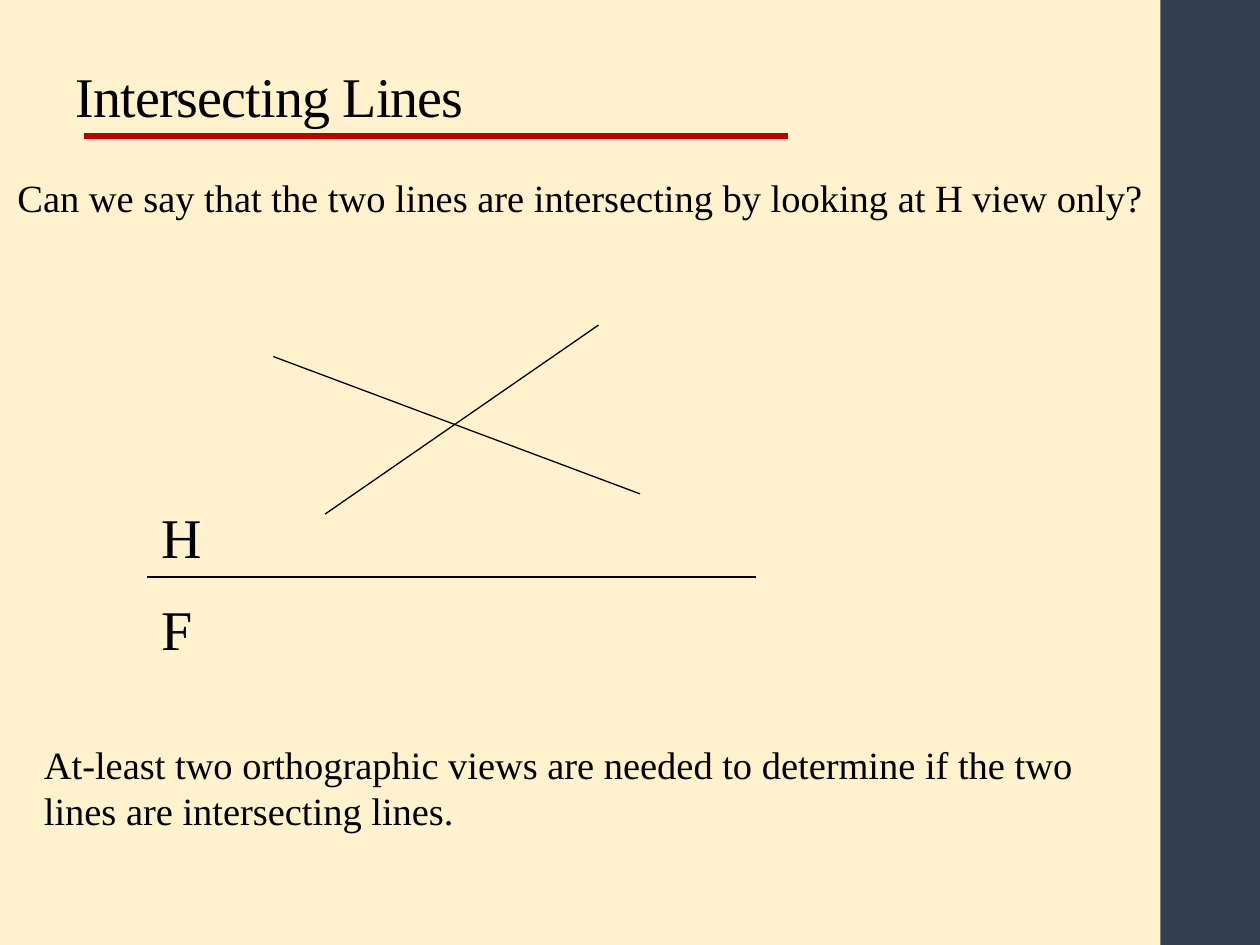
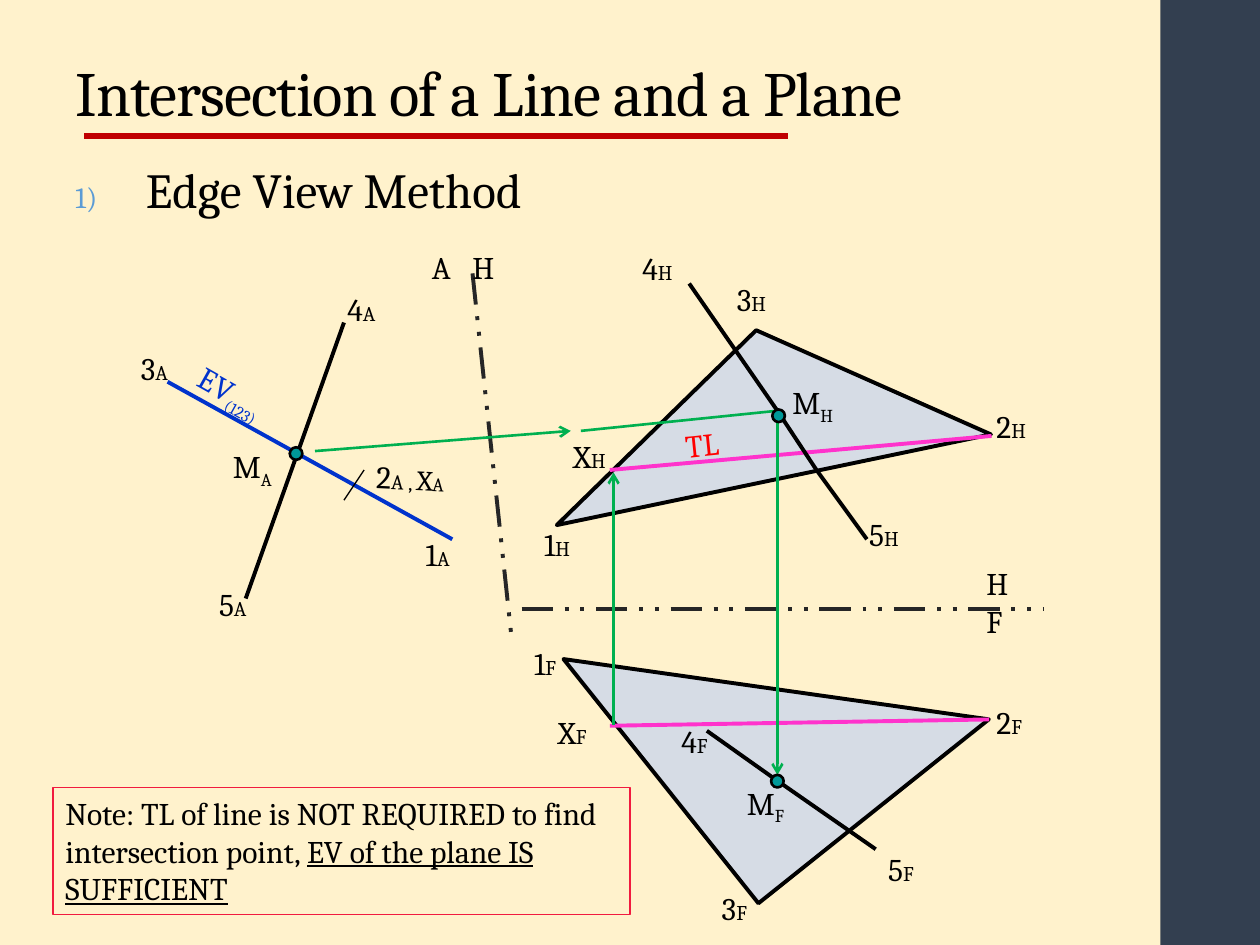
from itertools import pairwise

from lxml.etree import SubElement
from pptx import Presentation
from pptx.dml.color import RGBColor
from pptx.enum.dml import MSO_LINE
from pptx.enum.shapes import MSO_CONNECTOR, MSO_SHAPE as SHAPE
from pptx.enum.text import MSO_ANCHOR, MSO_AUTO_SIZE, PP_ALIGN
from pptx.oxml.ns import qn
from pptx.util import Inches, Pt

COLORS = {
    "background": "FFF2CC", "band": "333F50", "rule": "C00000", "text": "000000",
    "edge": "0033CC", "fold": "262626", "plane": "D6DCE5", "true_length": "FF33CC",
    "projection": "00B050", "point": "009999", "note": "F11B3F", "number": "5B9BD5",
    "true_length_label": "FF0000",
}
TIMES, CAMBRIA = "Times New Roman", "Cambria"


def color(name):
    return RGBColor.from_string(COLORS[name])


def inches(values):
    return [Inches(value) for value in values]


def write(paragraph, text, size=18, font=CAMBRIA, fill="text", underline=None,
          baseline=None, spacing=None):
    run = paragraph.add_run()
    run.text = text
    run.font.size = Pt(size)
    run.font.name = font
    run.font.color.rgb = color(fill)
    run.font.underline = underline
    properties = run._r.get_or_add_rPr()
    if baseline:
        properties.set("baseline", str(baseline * 1000))
    if spacing:
        properties.set("spc", str(round(spacing * 100)))


def add_text(slide, box, *runs, rotation=0):
    """Add a text box holding one paragraph of (text, format) runs."""
    shape = slide.shapes.add_textbox(*inches(box))
    shape.rotation = rotation
    shape.text_frame.word_wrap = True
    paragraph = shape.text_frame.paragraphs[0]
    for text, text_format in runs:
        write(paragraph, text, **text_format)
    return shape.text_frame


def add_label(slide, left, top, name, view="", **view_format):
    runs = [(name, {})]
    if view:
        runs.append((view, view_format or {"size": 12}))
    add_text(slide, (left, top, 0.6, 0.4), *runs)


def add_line(slide, start, end, fill="text", width=2.25, dash=None, arrow=False):
    connector = slide.shapes.add_connector(
        MSO_CONNECTOR.STRAIGHT, *inches(start), *inches(end))
    connector.line.color.rgb = color(fill)
    connector.line.width = Pt(width)
    if dash:
        connector.line.dash_style = dash
    if arrow:
        SubElement(connector.line._get_or_add_ln(), qn("a:tailEnd"), type="arrow")
    SubElement(connector._element.spPr, qn("a:effectLst"))


def add_path(slide, *points):
    for start, end in pairwise(points):
        add_line(slide, start, end)


def add_shape(slide, kind, box, fill=None, line=None, width=2.25, rotation=0):
    shape = slide.shapes.add_shape(kind, *inches(box))
    shape.shadow.inherit = False
    shape.rotation = rotation
    if fill:
        shape.fill.solid()
        shape.fill.fore_color.rgb = color(fill)
    else:
        shape.fill.background()
    if line:
        shape.line.color.rgb = color(line)
        shape.line.width = Pt(width)
    else:
        shape.line.fill.background()
    return shape


def add_plane(slide, box, apex, rotation):
    plane = add_shape(slide, SHAPE.ISOSCELES_TRIANGLE, box, "plane", "text",
                      rotation=rotation)
    plane.adjustments[0] = apex


def add_note(slide, box, *runs):
    frame = add_shape(slide, SHAPE.RECTANGLE, box, line="note", width=0.75).text_frame
    frame.word_wrap = True
    frame.vertical_anchor = MSO_ANCHOR.TOP
    paragraph = frame.paragraphs[0]
    paragraph.alignment = PP_ALIGN.LEFT
    for text, text_format in runs:
        write(paragraph, text, **text_format)


def add_numbered_heading(slide, box, text):
    paragraph = add_text(slide, box).paragraphs[0]
    paragraph.line_spacing = 0.95
    properties = paragraph._p.get_or_add_pPr()
    properties.set("marL", str(Inches(0.56)))
    properties.set("indent", str(Inches(-0.56)))
    number_color = SubElement(properties, qn("a:buClr"))
    SubElement(number_color, qn("a:srgbClr"), val=COLORS["number"])
    SubElement(properties, qn("a:buSzPct"), val="60000")
    SubElement(properties, qn("a:buFont"), typeface=CAMBRIA)
    SubElement(properties, qn("a:buAutoNum"), type="arabicParenR")
    write(paragraph, text, size=28, spacing=0.1)


def new_slide(presentation, title, **title_format):
    """Add a slide with the shared side band, title and red rule."""
    slide = presentation.slides.add_slide(presentation.slide_layouts[5])
    add_shape(slide, SHAPE.RECTANGLE, (9.21, 0, 0.79, 7.5), "band")
    add_line(slide, (0.67, 1.08), (6.25, 1.08), "rule", 3)
    shape = slide.shapes.title
    shape.left, shape.top, shape.width, shape.height = inches((0.5, 0.08, 7.95, 1))
    frame = shape.text_frame
    frame.auto_size = MSO_AUTO_SIZE.NONE
    frame.vertical_anchor = MSO_ANCHOR.BOTTOM
    paragraph = frame.paragraphs[0]
    paragraph.alignment = PP_ALIGN.LEFT
    paragraph.line_spacing = 0.9
    write(paragraph, title, spacing=-0.5, **title_format)
    return slide


def build_intersecting_lines(presentation):
    slide = new_slide(presentation, "Intersecting Lines", size=32, font=TIMES)
    view_style = {"size": 32, "font": TIMES, "spacing": 0.1}
    views = add_text(slide, (1.18, 3.98, 0.8, 1.3), ("H", view_style))
    write(views.add_paragraph(), "F", **view_style)
    for paragraph in views.paragraphs:
        paragraph.line_spacing = 0.95
    views.paragraphs[1].space_before = Pt(16)

    for start, end in (((2.17, 2.83), (5.08, 3.92)), ((2.58, 4.08), (4.75, 2.58)),
                       ((1.17, 4.58), (6, 4.58))):
        add_line(slide, start, end, width=0.75)

    body = {"size": 22, "font": TIMES}
    add_text(slide, (0.04, 1.33, 9.17, 0.47),
             ("Can we say that the two lines are intersecting "
              "by looking at H view only?", body))
    add_text(slide, (0.25, 5.83, 8.75, 0.84),
             ("At-least two orthographic views are needed to determine "
              "if the two lines are intersecting lines.", body))


def draw_views(slide):
    """Draw the planes, lines and fold lines of the three views."""
    fold = {"fill": "fold", "dash": MSO_LINE.DASH_DOT_DOT}
    add_line(slide, (1.33, 3.03), (3.59, 4.28), "edge")
    add_path(slide, (1.95, 4.75), (2.73, 2.56))
    add_line(slide, (2.73, 3.97), (2.89, 3.73), width=0.75)
    add_line(slide, (3.75, 2.17), (4.06, 5.06), **fold)

    add_plane(slide, (4.26, 2.63, 3.52, 1.19), 0.53, 348.2)
    add_line(slide, (4.84, 3.73), (7.87, 3.46), "true_length")
    add_path(slide, (5.47, 2.25), (6.17, 3.26), (6.48, 3.73), (6.88, 4.28))

    add_plane(slide, (4.99, 4.23, 2.34, 2.48), 0, 321.4)
    add_line(slide, (4.84, 5.76), (7.85, 5.71), "true_length")
    add_line(slide, (4.14, 4.83), (8.28, 4.83), **fold)
    add_path(slide, (5.61, 5.8), (6.16, 6.19), (6.95, 6.74))


def draw_projection(slide):
    """Draw the projection arrows and the intersection point in each view."""
    for start, end, arrow in (((2.5, 3.58), (4.53, 3.42), True),
                              ((4.61, 3.42), (6.17, 3.26), False),
                              ((6.17, 3.34), (6.17, 6.15), True),
                              ((4.87, 5.75), (4.87, 3.75), True)):
        add_line(slide, start, end, "projection", 1.5, arrow=arrow)
    for left, top in ((6.12, 6.15), (6.13, 3.25), (2.3, 3.55)):
        add_shape(slide, SHAPE.OVAL, (left, top, 0.1, 0.1), "point", "text", 1.5)


def label_views(slide):
    """Name the points, views and special lines."""
    points = {
        "A": (("1", 3.28, 4.2), ("4", 2.66, 2.25), ("5", 1.64, 4.59), ("3", 1.02, 2.72)),
        "H": (("3", 5.75, 2.17), ("X", 4.45, 3.42), ("2", 7.81, 3.18),
              ("1", 4.22, 4.12), ("5", 6.8, 4.04), ("4", 5, 1.93)),
        "F": (("2", 7.81, 5.53), ("3", 5.63, 7.01), ("X", 4.33, 5.61),
              ("1", 4.14, 5.06), ("5", 6.95, 6.7), ("4", 5.31, 5.68)),
    }
    for view, labels in points.items():
        for name, left, top in labels:
            add_label(slide, left, top, name, view)
    for view, left, top in (("H", 6.19, 2.99), ("F", 5.83, 6.17), ("A", 1.75, 3.5)):
        add_label(slide, left, top, "M", view, baseline=-25)
    for view, left in (("A", 3.33), ("H", 3.65)):
        add_label(slide, left, 1.92, view)
    fold_views = add_text(slide, (7.73, 4.43, 0.39, 0.71), ("H", {}))
    write(fold_views.add_paragraph(), "F")

    add_text(slide, (2.89, 3.6, 0.96, 0.4), ("2", {}), ("A , ", {"size": 12}),
             ("X", {"size": 16}), ("A", {"size": 11}), rotation=2.8)
    add_text(slide, (1.45, 2.96, 0.95, 0.4), ("EV", {"fill": "edge"}),
             ("(123)", {"size": 16, "fill": "edge", "baseline": -25}), rotation=29.3)
    add_text(slide, (5.34, 3.32, 0.55, 0.4), ("TL", {"fill": "true_length_label"}),
             rotation=354.2)


def build_line_and_plane(presentation):
    slide = new_slide(presentation, "Intersection of a Line and a Plane", size=36)
    add_numbered_heading(slide, (0.5, 1.25, 8.5, 0.75), "Edge View Method")
    draw_views(slide)
    label_views(slide)
    draw_projection(slide)
    add_note(slide, (0.42, 6.25, 4.58, 1.01),
             ("Note: TL of line is NOT REQUIRED to find intersection point, ", {}),
             ("EV of the plane IS SUFFICIENT", {"underline": True}))


def main():
    presentation = Presentation()
    presentation.slide_width, presentation.slide_height = inches((10, 7.5))
    background = presentation.slide_master.background.fill
    background.solid()
    background.fore_color.rgb = color("background")
    build_intersecting_lines(presentation)
    build_line_and_plane(presentation)
    presentation.save("out.pptx")


if __name__ == "__main__":
    main()
